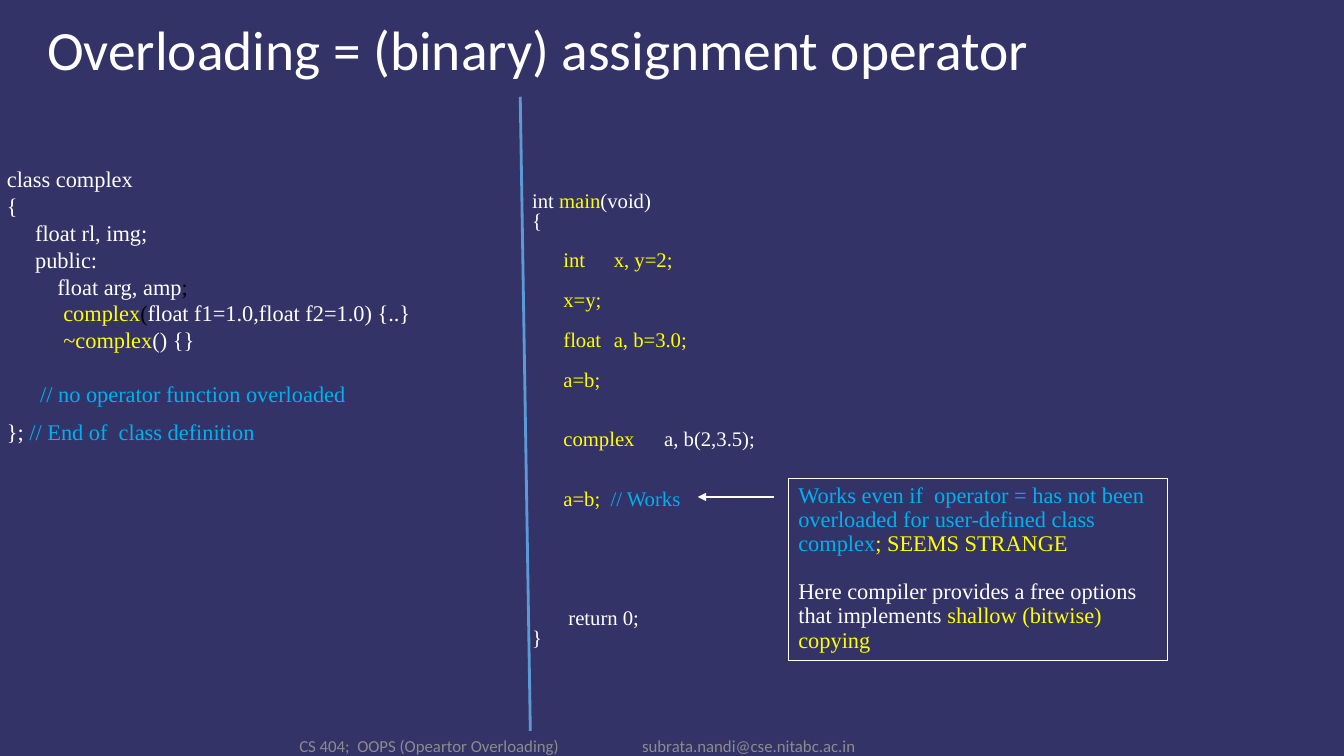
from lxml import etree
from pptx import Presentation
from pptx.dml.color import RGBColor
from pptx.enum.shapes import MSO_CONNECTOR, MSO_SHAPE
from pptx.enum.text import MSO_ANCHOR
from pptx.oxml.ns import qn
from pptx.util import Inches, Pt

STRAIGHT, RECT = MSO_CONNECTOR.STRAIGHT, MSO_SHAPE.RECTANGLE
TOP, MIDDLE = MSO_ANCHOR.TOP, MSO_ANCHOR.MIDDLE

NAVY = RGBColor(0x33, 0x33, 0x68)
WHITE = RGBColor(0xFF, 0xFF, 0xFF)
BLACK = RGBColor(0x00, 0x00, 0x00)
YELLOW = RGBColor(0xFF, 0xFF, 0x00)
CYAN = RGBColor(0x00, 0xB0, 0xF0)
BLUE = RGBColor(0x5B, 0x9B, 0xD5)
GRAY = RGBColor(0x8C, 0x8C, 0x8C)

SANS, SERIF = "Calibri", "Times New Roman"
LINE_HEIGHT = 1.2  # natural line height, in font sizes

# Content: each paragraph is (indent in inches, lines skipped before it,
# runs of (text, colour), optional tab stop in inches from the indent)
TITLE = [(0, 0, [("Overloading = (binary) assignment operator", WHITE)])]

CLASS_CODE = [
    (0, 0, [("class complex", WHITE)]),
    (0, 0, [("{", WHITE)]),
    (0.28, 0, [("float rl, img;", WHITE)]),
    (0.28, 0, [("public:", WHITE)]),
    (0.5, 0, [("float arg, amp", WHITE), (";", BLACK)]),
    (0.56, 0, [("complex", YELLOW), ("(", BLACK),
               ("float f1=1.0,float f2=1.0) {..}", WHITE)]),
    (0.56, 0, [("~complex", YELLOW), ("() {}", WHITE)]),
    (0.33, 1, [("// no operator function overloaded", CYAN)]),
    (0, 0.42, [("}; ", WHITE), ("// End of  class definition", CYAN)]),
]

MAIN_CODE = [
    (0, 0, [("int ", WHITE), ("main", YELLOW), ("(void)", WHITE)]),
    (0, 0, [("{", WHITE)]),
    (0.31, 1, [("int\tx, y=2;", YELLOW)], 0.37),
    (0.31, 1, [("x=y;", YELLOW)]),
    (0.31, 1, [("float\ta, b=3.0;", YELLOW)], 0.58),
    (0.31, 1, [("a=b;", YELLOW)]),
    (0.31, 2, [("complex\t", YELLOW), ("a, b(2,3.5);", WHITE)], 0.91),
    (0.31, 2, [("a=b;  ", YELLOW), ("// Works", CYAN)]),
    (0.36, 5, [("return 0;", WHITE)]),
    (0, 0, [("}", WHITE)]),
]

NOTE = [
    (0, 0, [("Works even if  operator = has not been overloaded for "
             "user-defined class complex", CYAN), ("; SEEMS STRANGE", YELLOW)]),
    (0, 1, [("Here compiler provides a free options that implements ", WHITE),
            ("shallow (bitwise) copying", YELLOW)]),
]

COURSE = [(0, 0, [("CS 404;  OOPS (Opeartor Overloading)", GRAY)])]
EMAIL = [(0, 0, [("subrata.nandi@cse.nitabc.ac.in", GRAY)])]

# (paragraphs, box, format)
TEXTS = [
    (TITLE, (0.37, 0.21, 12.28, 0.63),
     dict(size=39.6, font=SANS, spacing=0.9, anchor=MIDDLE)),
    (CLASS_CODE, (-0.03, 1.59, 5.91, 5.75), dict(size=16)),
    (MAIN_CODE, (5.18, 1.86, 8.1, 5.02), dict(size=14.8, spacing=0.8)),
    (COURSE, (2.87, 7.25, 3, 0.3), dict(size=12, font=SANS, anchor=MIDDLE)),
    (EMAIL, (6.27, 7.25, 3, 0.3), dict(size=12, font=SANS, anchor=MIDDLE)),
]


def write(sp, paragraphs, size, font=SERIF, spacing=1.0, anchor=TOP):
    tf = sp.text_frame
    tf.word_wrap = True
    tf.vertical_anchor = anchor
    for i, (indent, skipped, runs, *tabs) in enumerate(paragraphs):
        p = tf.paragraphs[0] if i == 0 else tf.add_paragraph()
        p.line_spacing = spacing
        p.space_before = Pt(round(skipped * size * LINE_HEIGHT * spacing, 1))
        pPr = p._p.get_or_add_pPr()
        pPr.set("algn", "l")
        pPr.set("marL", str(Inches(indent)))
        pPr.set("indent", "0")
        if tabs:
            stops = etree.SubElement(pPr, qn("a:tabLst"))
            etree.SubElement(stops, qn("a:tab"), algn="l",
                             pos=str(Inches(indent + tabs[0])))
        for text, color in runs:
            r = p.add_run()
            r.text = text
            r.font.size, r.font.name = Pt(size), font
            r.font.color.rgb = color


def add_line(slide, start, end, color, arrow=False):
    points = [Inches(v) for v in (*start, *end)]
    line = slide.shapes.add_connector(STRAIGHT, *points)
    line.line.color.rgb = color
    line.line.width = Pt(2)
    if arrow:
        etree.SubElement(line.line._get_or_add_ln(), qn("a:tailEnd"),
                         type="triangle")
    etree.SubElement(line._element.spPr, qn("a:effectLst"))


prs = Presentation()
prs.slide_width, prs.slide_height = Inches(13.33), Inches(7.5)
slide = prs.slides.add_slide(prs.slide_layouts[6])
slide.background.fill.solid()
slide.background.fill.fore_color.rgb = NAVY

# Title, code columns and footer
for paragraphs, box, style in TEXTS:
    sp = slide.shapes.add_textbox(*[Inches(v) for v in box])
    write(sp, paragraphs, **style)

# Divider between the columns
add_line(slide, (5.16, 0.96), (5.26, 7.25), BLUE)

# Framed note with its arrow
note = slide.shapes.add_shape(RECT, *[Inches(v) for v in (7.82, 4.75, 3.76, 1.8)])
note.shadow.inherit = False
note.fill.background()
note.line.color.rgb = WHITE
note.line.width = Pt(0.75)
write(note, NOTE, size=16, spacing=0.9)
add_line(slide, (7.68, 4.93), (6.92, 4.93), WHITE, arrow=True)

prs.save("out.pptx")
